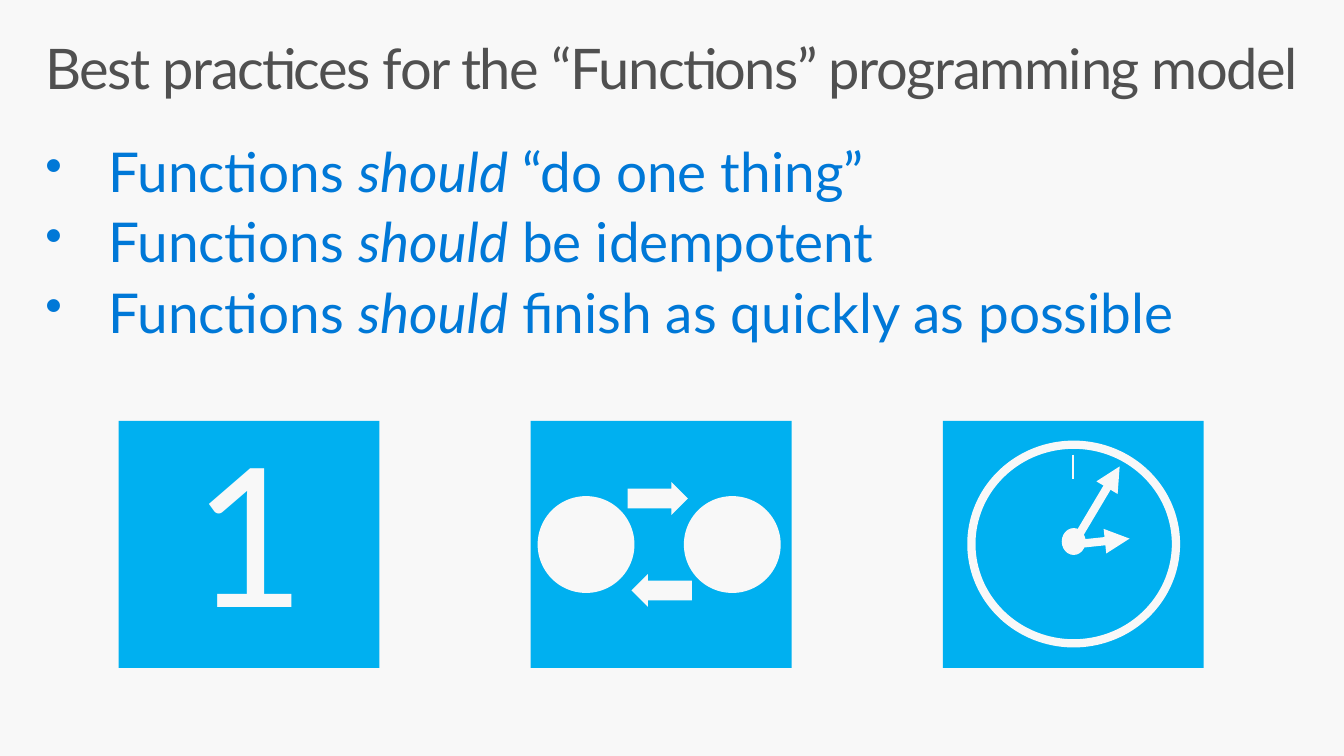
from lxml.etree import SubElement
from pptx import Presentation
from pptx.dml.color import RGBColor
from pptx.enum.shapes import MSO_CONNECTOR, MSO_SHAPE
from pptx.enum.text import PP_ALIGN
from pptx.oxml.ns import qn
from pptx.util import Inches, Pt

FONT = "Lato"
LIGHT, GRAY, BLUE, CYAN = "F8F8F8", "505050", "0078D7", "00B0F0"


def rgb(value):
    return RGBColor.from_string(value)


def add_text_frame(s, x, y, w, h, inset_x=0.16, inset_y=0.1):
    tf = s.shapes.add_textbox(Inches(x), Inches(y), Inches(w), Inches(h)).text_frame
    tf.word_wrap = True
    tf.margin_left = tf.margin_right = Inches(inset_x)
    tf.margin_top = tf.margin_bottom = Inches(inset_y)
    tf.paragraphs[0].line_spacing = 0.9
    return tf


def add_run(p, text, size, color, italic=False):
    r = p.add_run()
    r.text = text
    r.font.name = FONT
    r.font.size = Pt(size)
    r.font.italic = italic
    r.font.color.rgb = rgb(color)
    return r


def add_filled(s, kind, x, y, w, h, fill=LIGHT, line_width=0):
    sp = s.shapes.add_shape(kind, Inches(x), Inches(y), Inches(w), Inches(h))
    sp.shadow.inherit = False
    if fill:
        sp.fill.solid()
        sp.fill.fore_color.rgb = rgb(fill)
    else:
        sp.fill.background()
    if line_width:
        sp.line.color.rgb = rgb(LIGHT)
        sp.line.width = Pt(line_width)
    else:
        sp.line.fill.background()
    return sp


def add_line(s, x1, y1, x2, y2, width, arrow=False):
    line = s.shapes.add_connector(MSO_CONNECTOR.STRAIGHT, Inches(x1), Inches(y1),
                                  Inches(x2), Inches(y2))
    line.line.color.rgb = rgb(LIGHT)
    line.line.width = Pt(width)
    if arrow:
        SubElement(line.line._get_or_add_ln(), qn("a:tailEnd"), type="triangle")
    SubElement(line._element.spPr, qn("a:effectLst"))


def add_title(s, x, y, w, h):
    tf = add_text_frame(s, x, y, w, h)
    r = add_run(tf.paragraphs[0], "Best practices for the “Functions” programming model",
                40.8, GRAY)
    r._r.get_or_add_rPr().set("spc", "-100")


def add_practices(s, x, y, w, h):
    tf = add_text_frame(s, x, y, w, h)
    for i, advice in enumerate(["“do one thing”", "be idempotent",
                                "finish as quickly as possible"]):
        p = tf.add_paragraph() if i else tf.paragraphs[0]
        p.line_spacing = 0.9
        p.space_before = Pt(8 if i else 0)
        pPr = p._p.get_or_add_pPr()
        pPr.set("marL", str(Inches(0.64)))
        pPr.set("indent", str(-Inches(0.64)))
        SubElement(pPr, qn("a:buSzPct"), val="90000")
        SubElement(pPr, qn("a:buChar"), char="•")
        add_run(p, "Functions ", 40, BLUE)
        add_run(p, "should", 40, BLUE, italic=True)
        add_run(p, " " + advice, 40, BLUE)


def add_one_icon(s, x, y):
    tf = add_text_frame(s, x + 0.25, y + 0.04, 2.15, 2.5, 0.2, 0.16)
    p = tf.paragraphs[0]
    p.alignment = PP_ALIGN.CENTER
    p.space_after = Pt(6.1)
    add_run(p, "1", 140.8, LIGHT)


def add_repeat_icon(s, x, y):
    for dx in (0.07, 1.55):
        add_filled(s, MSO_SHAPE.OVAL, x + dx, y + 0.76, 0.98, 0.98)
    for dx, dy, rotation in ((0.98, 0.62, 0), (1.02, 1.55, 180)):
        arrow = add_filled(s, MSO_SHAPE.RIGHT_ARROW, x + dx, y + dy, 0.61, 0.33)
        arrow.adjustments[0] = 0.6
        arrow.adjustments[1] = 0.5
        arrow.rotation = rotation


def add_clock_icon(s, x, y):
    cx, cy = x + 1.32, y + 1.25
    add_filled(s, MSO_SHAPE.OVAL, x + 0.29, y + 0.24, 2.07, 2.01, None, 6)
    # Twelve o'clock mark, then the two hands
    add_line(s, cx, y + 0.34, cx, y + 0.59, 1.5)
    for dx, dy in ((0.47, -0.79), (0.57, -0.06)):
        add_line(s, cx, cy, cx + dx, cy + dy, 6, arrow=True)
    # Hub
    add_filled(s, MSO_SHAPE.OVAL, cx - 0.11, cy - 0.16, 0.23, 0.26, LIGHT, 0.85)


def add_icon_row(s, x, y, pitch):
    for i, add_icon in enumerate((add_one_icon, add_repeat_icon, add_clock_icon)):
        left = x + i * pitch
        add_filled(s, MSO_SHAPE.RECTANGLE, left, y, 2.64, 2.5, CYAN)
        add_icon(s, left, y)


def main():
    prs = Presentation()
    prs.slide_width, prs.slide_height = Inches(13.6), Inches(7.65)
    s = prs.slides.add_slide(prs.slide_layouts[6])
    s.background.fill.solid()
    s.background.fill.fore_color.rgb = rgb(LIGHT)
    add_title(s, 0.3, 0.32, 13, 1)
    add_practices(s, 0.3, 1.37, 13, 2.33)
    add_icon_row(s, 1.2, 4.26, 4.17)
    prs.save("out.pptx")


if __name__ == "__main__":
    main()
